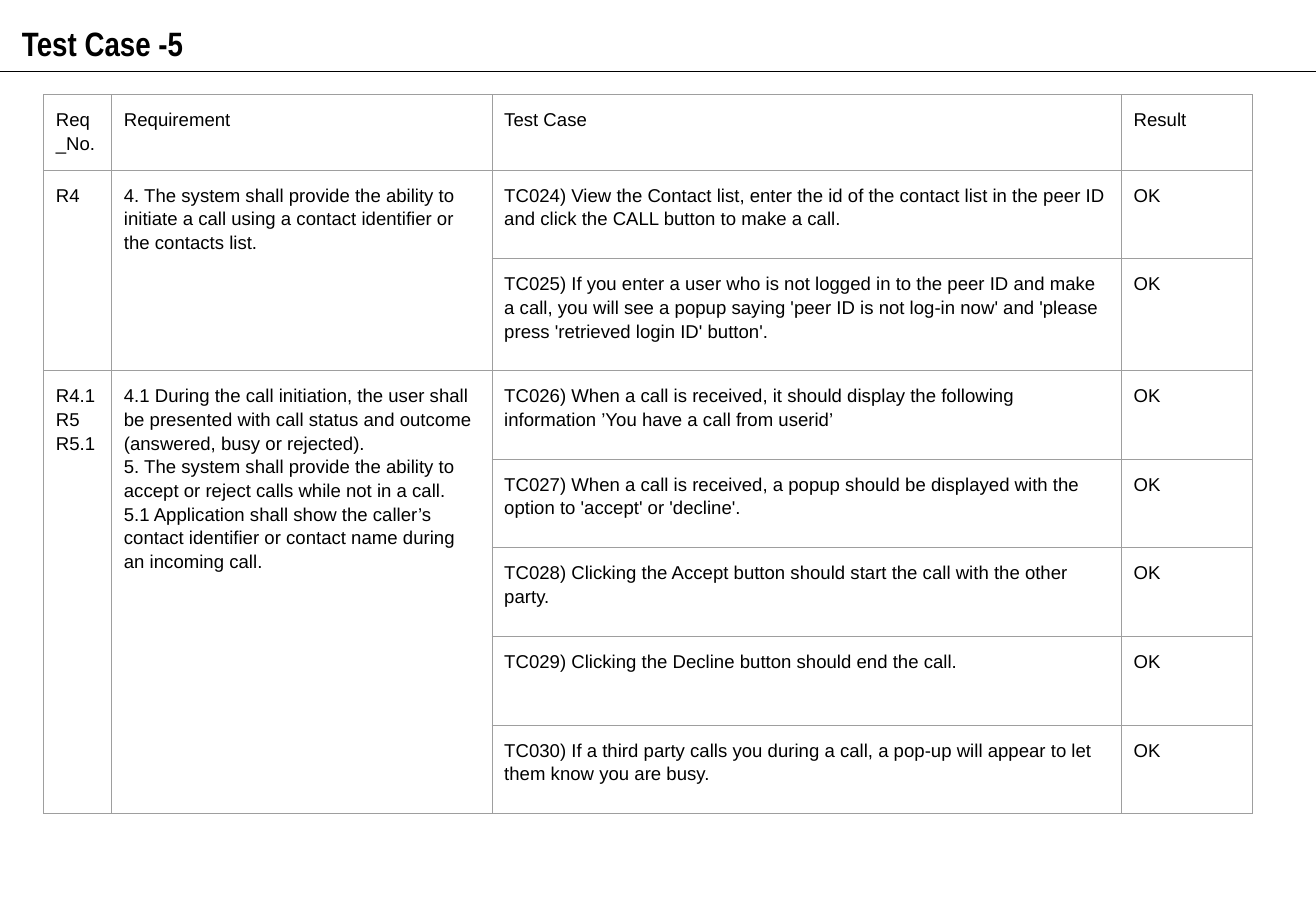
from typing import NamedTuple

from lxml import etree
from pptx import Presentation
from pptx.dml.color import RGBColor
from pptx.enum import shapes, text
from pptx.oxml import ns
from pptx.util import Inches, Pt

BLACK = RGBColor(0, 0, 0)
GREY = RGBColor(0x9E, 0x9E, 0x9E)

WIDTHS = [0.56, 3.13, 5.18, 1.08]
HEIGHTS = [0.54, 0.73, 0.92] + [0.73] * 5
HEADS = ["Req_No.", "Requirement", "Test Case", "Result"]


class Group(NamedTuple):
    ids: list[str]
    needs: list[str]
    cases: list[str]


GROUPS = [
    Group(
        ["R4"],
        ["4. The system shall provide the ability to initiate a call using a "
         "contact identifier or the contacts list."],
        ["TC024) View the Contact list, enter the id of the contact list in the "
         "peer ID and click the CALL button to make a call.",
         "TC025) If you enter a user who is not logged in to the peer ID and make "
         "a call, you will see a popup saying 'peer ID is not log-in now' and "
         "'please press 'retrieved login ID' button'."],
    ),
    Group(
        ["R4.1", "R5", "R5.1"],
        ["4.1 During the call initiation, the user shall be presented with call "
         "status and outcome (answered, busy or rejected).",
         "5. The system shall provide the ability to accept or reject calls while "
         "not in a call.",
         "5.1 Application shall show the caller’s contact identifier or contact "
         "name during an incoming call."],
        ["TC026) When a call is received, it should display the following "
         "information ’You have a call from userid’",
         "TC027) When a call is received, a popup should be displayed with the "
         "option to 'accept' or 'decline'.",
         "TC028) Clicking the Accept button should start the call with the other "
         "party.",
         "TC029) Clicking the Decline button should end the call.",
         "TC030) If a third party calls you during a call, a pop-up will appear "
         "to let them know you are busy."],
    ),
]


def write(frame, lines: list[str], font: str, size: float, space: float,
          bold: bool = False) -> None:
    for i, line in enumerate(lines):
        para = frame.paragraphs[0] if i == 0 else frame.add_paragraph()
        para.alignment = text.PP_ALIGN.LEFT
        para.line_spacing = space
        run = para.add_run()
        run.text = line
        run.font.name = font
        run.font.size = Pt(size)
        run.font.bold = bold
        run.font.color.rgb = BLACK


def fill_cell(cell, lines: list[str]) -> None:
    write(cell.text_frame, lines, "Arial", 11, 1.15)


def style(cell) -> None:
    """Clear the fill, set the margins and draw all four borders."""
    cell.fill.background()
    cell.margin_left = cell.margin_right = Inches(0.1)
    cell.margin_top = cell.margin_bottom = Inches(0.1)
    props = cell._tc.get_or_add_tcPr()
    for i, side in enumerate(["lnL", "lnR", "lnT", "lnB"]):
        edge = etree.Element(ns.qn(f"a:{side}"), w=str(Pt(0.75)))
        solid = etree.SubElement(edge, ns.qn("a:solidFill"))
        etree.SubElement(solid, ns.qn("a:srgbClr"), val=str(GREY))
        props.insert(i, edge)


def add_title(slide) -> None:
    title = slide.shapes.title
    title.left, title.top = Inches(0.08), Inches(0.07)
    title.width, title.height = Inches(7.81), Inches(0.44)
    frame = title.text_frame
    frame.word_wrap = True
    frame.auto_size = text.MSO_AUTO_SIZE.SHAPE_TO_FIT_TEXT
    frame.vertical_anchor = text.MSO_ANCHOR.TOP
    write(frame, ["Test Case -5"], "Arial Narrow", 20, 1.2, bold=True)


def add_rule(slide, width: int) -> None:
    y = Inches(0.59)
    rule = slide.shapes.add_connector(
        shapes.MSO_CONNECTOR.STRAIGHT, 0, y, width, y)
    rule.line.color.rgb = BLACK
    rule.line.width = Pt(0.75)
    etree.SubElement(rule._element.spPr, ns.qn("a:effectLst"))


def add_cases(slide) -> None:
    table = slide.shapes.add_table(
        len(HEIGHTS), len(WIDTHS), Inches(0.36), Inches(0.78),
        Inches(sum(WIDTHS)), Inches(sum(HEIGHTS))).table
    table.first_row = table.horz_banding = False
    for col, width in zip(table.columns, WIDTHS):
        col.width = Inches(width)
    for row, height in zip(table.rows, HEIGHTS):
        row.height = Inches(height)
    for cell in table.iter_cells():
        style(cell)

    for i, head in enumerate(HEADS):
        fill_cell(table.cell(0, i), [head])
    top = 1
    for group in GROUPS:
        end = top + len(group.cases)
        for i, lines in enumerate([group.ids, group.needs]):
            table.cell(top, i).merge(table.cell(end - 1, i))
            fill_cell(table.cell(top, i), lines)
        for row, case in enumerate(group.cases, top):
            fill_cell(table.cell(row, 2), [case])
            fill_cell(table.cell(row, 3), ["OK"])
        top = end


def main() -> None:
    deck = Presentation()
    deck.slide_width, deck.slide_height = Inches(10.83), Inches(7.5)
    slide = deck.slides.add_slide(deck.slide_layouts[5])
    add_rule(slide, deck.slide_width)
    add_title(slide)
    add_cases(slide)
    deck.save("out.pptx")


if __name__ == "__main__":
    main()
